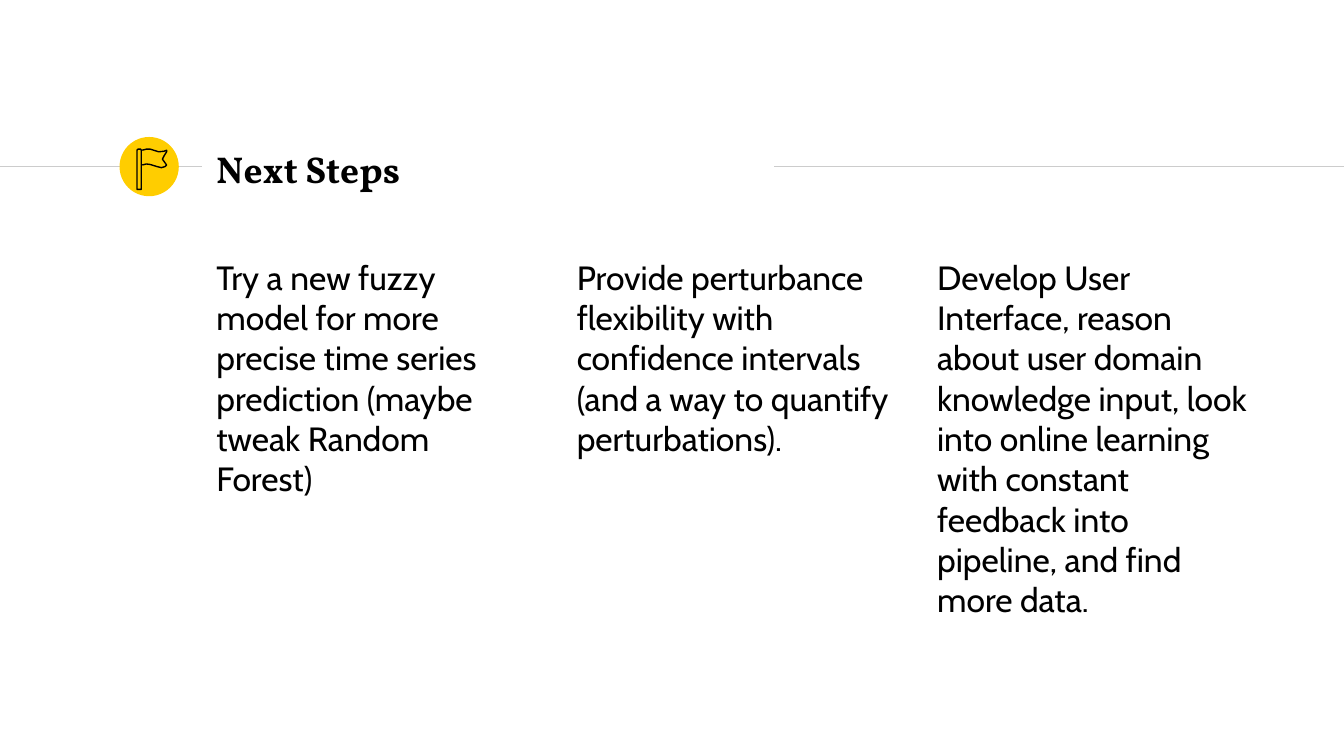
from dataclasses import dataclass

import lxml.etree
import pptx
import pptx.dml.color
import pptx.enum.shapes
import pptx.enum.text
import pptx.oxml.ns
import pptx.util
from pptx.util import Cm

COLORS = {"ink": "000000", "rule": "CCCCCC", "badge": "FFCD00"}
RULE_Y = 3.15
COLUMN_LEFT, COLUMN_STEP = 3.84, 6.81


@dataclass(frozen=True)
class Rule:
    start: float
    end: float


@dataclass(frozen=True)
class Outline:
    points: tuple[tuple[int, int], ...]
    closed: bool


RULES = (Rule(0, 3.81), Rule(14.63, 25.4))

POLE = Outline(
    ((267, 358), (267, 284), (266, 282), (261, 282), (259, 284), (259, 358)),
    closed=True,
)
BANNER = Outline(
    (
        (269, 312), (277, 310), (284, 311), (297, 315), (305, 317), (312, 315),
        (315, 312), (310, 305), (307, 301), (310, 295), (315, 287), (315, 284),
        (310, 286), (300, 287), (284, 282), (277, 282), (269, 284),
    ),
    closed=False,
)

STEPS = (
    "Try a new fuzzy model for more precise time series prediction "
    "(maybe tweak Random Forest)",
    "Provide perturbance flexibility with confidence intervals "
    "(and a way to quantify perturbations).",
    "Develop User Interface, reason about user domain knowledge input, look into "
    "online learning with constant feedback into pipeline, and find more data.",
)


def color(name: str) -> pptx.dml.color.RGBColor:
    return pptx.dml.color.RGBColor.from_string(COLORS[name])


def place(shape, left: float, top: float, width: float, height: float) -> None:
    shape.left, shape.top = Cm(left), Cm(top)
    shape.width, shape.height = Cm(width), Cm(height)


def write(shape, text: str, *, font: str, size: int, bold: bool = False,
          anchor=pptx.enum.text.MSO_ANCHOR.TOP) -> None:
    frame = shape.text_frame
    frame.word_wrap = True
    frame.auto_size = pptx.enum.text.MSO_AUTO_SIZE.NONE
    frame.vertical_anchor = anchor
    frame.margin_left = frame.margin_right = Cm(0.25)
    frame.margin_top = frame.margin_bottom = Cm(0.25)
    paragraph = frame.paragraphs[0]
    properties = paragraph._p.get_or_add_pPr()
    properties.set("marL", "0")
    properties.set("indent", "0")
    lxml.etree.SubElement(properties, pptx.oxml.ns.qn("a:buNone"))
    paragraph.alignment = pptx.enum.text.PP_ALIGN.LEFT
    paragraph.space_before = pptx.util.Pt(0)
    run = paragraph.add_run()
    run.text = text
    run.font.name = font
    run.font.size = pptx.util.Pt(size)
    run.font.bold = bold
    run.font.color.rgb = color("ink")


def draw_rule(slide, rule: Rule) -> None:
    line = slide.shapes.add_connector(
        pptx.enum.shapes.MSO_CONNECTOR.STRAIGHT,
        Cm(rule.start), Cm(RULE_Y), Cm(rule.end), Cm(RULE_Y),
    )
    line.line.color.rgb = color("rule")
    line.line.width = pptx.util.Pt(0.75)
    lxml.etree.SubElement(line._element.spPr, pptx.oxml.ns.qn("a:effectLst"))


def draw_badge(slide, diameter: float) -> None:
    badge = slide.shapes.add_shape(
        pptx.enum.shapes.MSO_SHAPE.OVAL,
        Cm(2.26), Cm(RULE_Y - diameter / 2), Cm(diameter), Cm(diameter),
    )
    badge.shadow.inherit = False
    badge.fill.solid()
    badge.fill.fore_color.rgb = color("badge")
    badge.line.fill.background()


def draw_outline(slide, outline: Outline) -> None:
    first, *rest = outline.points
    builder = slide.shapes.build_freeform(*first, scale=float(Cm(0.01)))
    builder.add_line_segments(rest, close=outline.closed)
    part = builder.convert_to_shape()
    part.shadow.inherit = False
    part.fill.background()
    part.line.color.rgb = color("ink")
    part.line.width = pptx.util.Pt(0.75)


def main() -> None:
    deck = pptx.Presentation()
    deck.slide_width, deck.slide_height = Cm(25.4), Cm(14.29)
    slide = deck.slides.add_slide(deck.slide_layouts.get_by_name("Comparison"))

    for rule in RULES:
        draw_rule(slide, rule)
    draw_badge(slide, 1.12)
    for outline in (POLE, BANNER):
        draw_outline(slide, outline)

    title, *columns = slide.placeholders
    place(title, COLUMN_LEFT, 2.57, 10.77, 1.22)
    write(title, "Next Steps", font="Vollkorn", size=20, bold=True,
          anchor=pptx.enum.text.MSO_ANCHOR.MIDDLE)

    for index, (column, step) in enumerate(zip(columns, STEPS)):
        place(column, COLUMN_LEFT + index * COLUMN_STEP, 4.6, 6.48, 8.66)
        write(column, step, font="Cabin", size=18)
    for spare in columns[len(STEPS):]:
        spare._element.getparent().remove(spare._element)

    deck.save("out.pptx")


if __name__ == "__main__":
    main()
